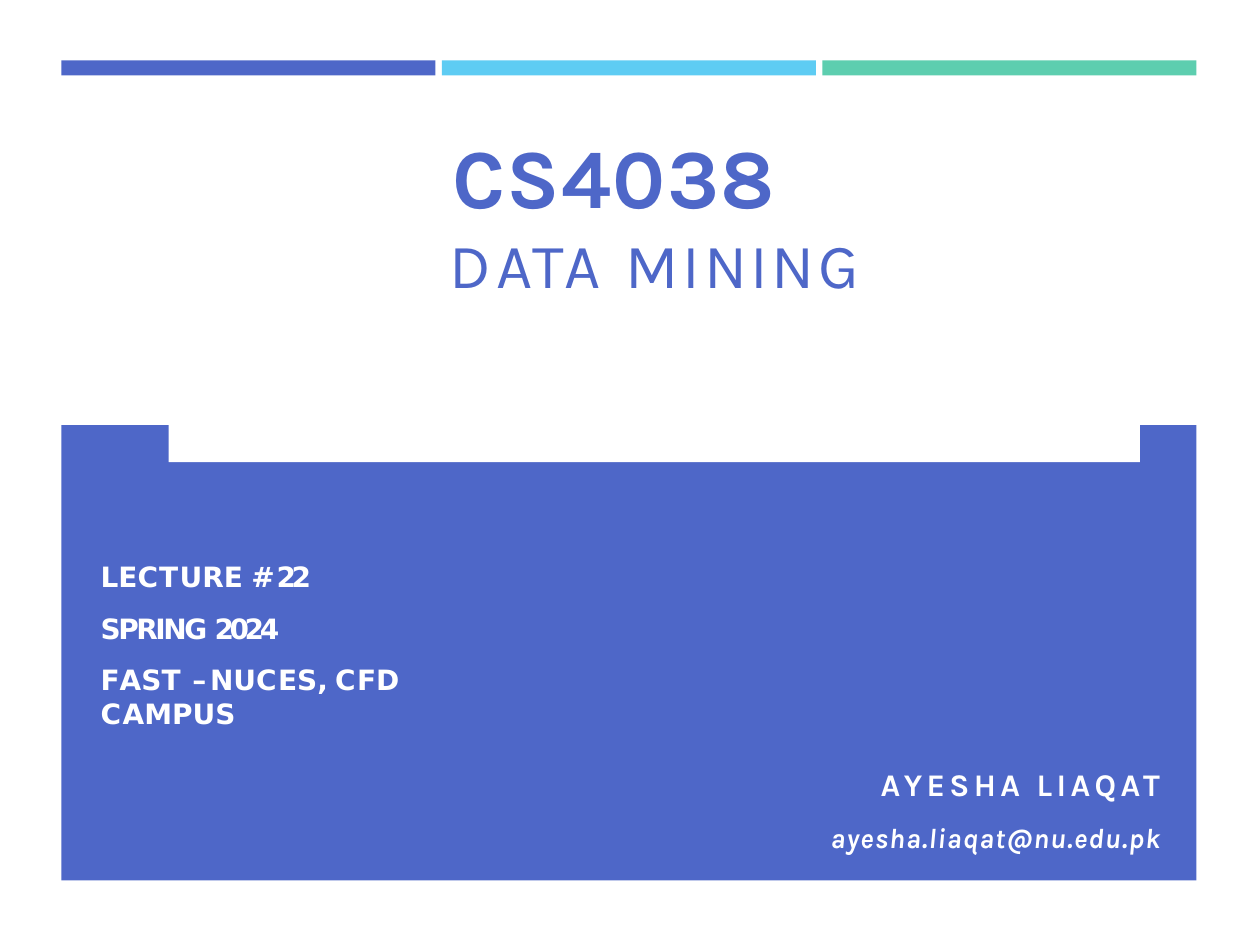
from dataclasses import dataclass

from pptx import Presentation
from pptx.dml.color import RGBColor
from pptx.enum.shapes import MSO_SHAPE
from pptx.enum.text import MSO_ANCHOR, PP_ALIGN
from pptx.util import Cm, Pt

RECTANGLE = MSO_SHAPE.RECTANGLE
TOP = MSO_ANCHOR.TOP
LEFT, CENTER, RIGHT = PP_ALIGN.LEFT, PP_ALIGN.CENTER, PP_ALIGN.RIGHT


@dataclass(frozen=True)
class Theme:
    blue: str = "4E67C8"
    sky: str = "5ECCF3"
    green: str = "5DCEAF"
    white: str = "FFFFFF"
    heading_font: str = "Karla"
    detail_font: str = "DejaVu Sans"
    code_size: int = 48
    course_size: int = 36
    author_size: int = 18
    detail_size: int = 16


class SlideBuilder:
    def __init__(self, page, theme):
        self.page = page
        self.theme = theme

    def block(self, left, top, width, height, color):
        shape = self.page.shapes.add_shape(
            RECTANGLE, Cm(left), Cm(top), Cm(width), Cm(height))
        shape.shadow.inherit = False
        shape.fill.solid()
        shape.fill.fore_color.rgb = RGBColor.from_string(color)
        shape.line.fill.background()

    def text_box(self, left, top, width, height, inset_top, inset_left=0):
        box = self.page.shapes.add_textbox(
            Cm(left), Cm(top), Cm(width), Cm(height))
        frame = box.text_frame
        frame.word_wrap = True
        frame.vertical_anchor = TOP
        frame.margin_left, frame.margin_top = Cm(inset_left), Cm(inset_top)
        frame.margin_right = frame.margin_bottom = 0
        return frame

    def paragraph(self, frame, spans, size, color, font, before,
                  align=LEFT, bold=False, italic=False):
        para = frame.paragraphs[0]
        if para.runs:
            para = frame.add_paragraph()
        para.alignment = align
        para.space_before = Pt(before)
        for text, spacing in spans:
            span = para.add_run()
            span.text = text
            span.font.size = Pt(size)
            span.font.name = font
            span.font.bold = bold
            span.font.italic = italic
            span.font.color.rgb = RGBColor.from_string(color)
            span._r.get_or_add_rPr().set("spc", str(round(spacing * 100)))


COURSE = [("D", 2.9), ("A", -0.9), ("T", -2.8), ("A ", 2.8),
          ("M", 2.5), ("ININ", 2), ("G", 2.3)]
DETAILS = [
    (10.8, [("L", -0.6), ("E", -0.7), ("CT", 0.7), ("U", 0.1),
            ("R", -1.6), ("E ", -0.8), ("# ", -4.5), ("22", -2.5)]),
    (10.8, [("SPRING ", -1.4), ("2024", -2.5)]),
    (9.8, [("F", -1.4), ("A", -0.4), ("S", -1.8), ("T ", 0.6), ("– ", -3.4),
           ("NU", 0), ("C", 0.8), ("E", -0.8), ("S", -1.8), (", ", -1.4),
           ("C", 0.8), ("F", -0.8), ("D ", -0.5), ("C", 0.8), ("A", 0.1),
           ("M", -1.1), ("P", -1.2), ("U", 0.1), ("S", -1.8)]),
]


def main():
    theme = Theme()
    deck = Presentation()
    deck.slide_width, deck.slide_height = Cm(25.4), Cm(19.05)
    page = deck.slides.add_slide(deck.slide_layouts[6])
    slide = SlideBuilder(page, theme)

    margin, bar_width, bar_pitch = 1.24, 7.54, 7.67
    for index, color in enumerate((theme.blue, theme.sky, theme.green)):
        slide.block(margin + index * bar_pitch, 1.22, bar_width, 0.3, color)
    slide.block(margin, 8.57, 22.88, 9.18, theme.blue)
    slide.block(3.4, 4.5, 19.58, 4.82, theme.white)

    title = slide.text_box(6.38, 2.49, 13.61, 2.11, 0.03, inset_left=2.74)
    slide.paragraph(title, [("CS4038", 0.8)], theme.code_size, theme.blue,
                    theme.heading_font, 1, bold=True)

    course = slide.text_box(3.71, 4.52, 18.97, 1.47, 0.03)
    slide.paragraph(course, COURSE, theme.course_size, theme.blue,
                    theme.heading_font, 0.7, CENTER)

    details = slide.text_box(2.03, 10.9, 8.43, 3.18, 0.38)
    for before, spans in DETAILS:
        slide.paragraph(details, spans, theme.detail_size, theme.white,
                        theme.detail_font, before, bold=True)

    author = slide.text_box(15.01, 14.96, 8.38, 2.26, 0.46)
    slide.paragraph(author, [("AYESHA LIAQAT", 2.5)], theme.author_size,
                    theme.white, theme.heading_font, 12.7, RIGHT, bold=True)
    slide.paragraph(author, [("ayesha.liaqat@nu.edu.pk", 0.7)],
                    theme.detail_size, theme.white, theme.heading_font,
                    10.4, RIGHT, bold=True, italic=True)

    deck.save("out.pptx")


if __name__ == "__main__":
    main()
